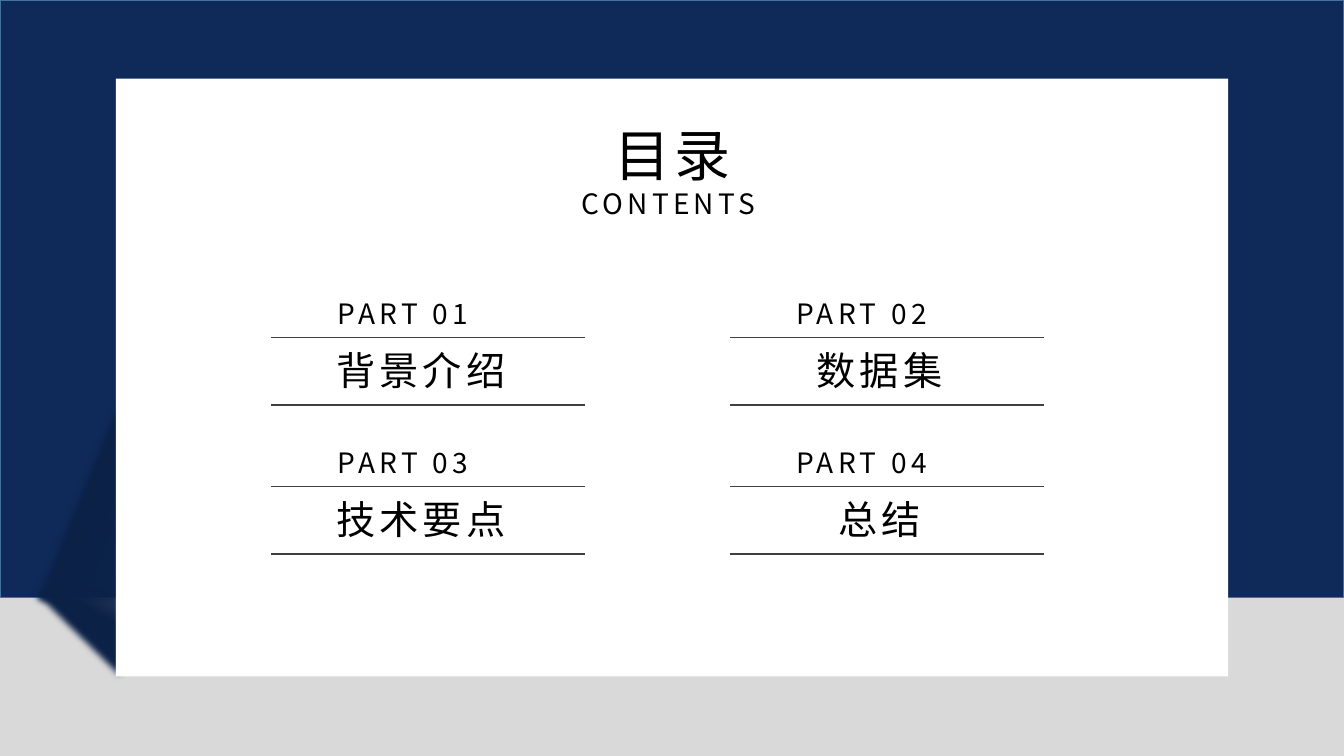
from lxml import etree
from pptx import Presentation
from pptx.dml.color import RGBColor
from pptx.enum.shapes import MSO_CONNECTOR, MSO_SHAPE
from pptx.enum.text import MSO_ANCHOR, MSO_AUTO_SIZE, PP_ALIGN
from pptx.oxml.ns import qn
from pptx.util import Inches, Pt

RECTANGLE = MSO_SHAPE.RECTANGLE
RIGHT_TRIANGLE = MSO_SHAPE.RIGHT_TRIANGLE
STRAIGHT = MSO_CONNECTOR.STRAIGHT
TOP = MSO_ANCHOR.TOP
FIT_SHAPE = MSO_AUTO_SIZE.SHAPE_TO_FIT_TEXT
LEFT, CENTER, JUSTIFY = PP_ALIGN.LEFT, PP_ALIGN.CENTER, PP_ALIGN.JUSTIFY

GREY = RGBColor(0xD9, 0xD9, 0xD9)
NAVY = RGBColor(0x0F, 0x2A, 0x59)
DARK_NAVY = RGBColor(0x0C, 0x22, 0x47)
BLUE = RGBColor(0x43, 0x73, 0x9E)
WHITE = RGBColor(0xFF, 0xFF, 0xFF)
BLACK = RGBColor(0, 0, 0)
CHARCOAL = RGBColor(0x40, 0x40, 0x40)

SANS = "Noto Sans CJK SC"
SERIF = "Times New Roman"
SLIDE_WIDTH, SLIDE_HEIGHT = Inches(13.33), Inches(7.5)

PARTS = ["背景介绍", "数据集", "技术要点", "总结"]
GRID_COLUMNS = 2
FIRST_LEFT, COLUMN_STEP = 20.2, 34.13
FIRST_TOP, ROW_STEP = 44.67, 19.7
RULE_WIDTH, RULE_GAP = 23.33, 8.93


def across(percent):
    return round(SLIDE_WIDTH * percent / 100)


def down(percent):
    return round(SLIDE_HEIGHT * percent / 100)


def box(left, top, width, height):
    return across(left), down(top), across(width), down(height)


def add_panel(shapes, kind, place, color=None, outline=None):
    panel = shapes.add_shape(kind, *box(*place))
    panel.shadow.inherit = False
    if color is not None:
        panel.fill.solid()
        panel.fill.fore_color.rgb = color
    if outline is None:
        panel.line.fill.background()
    else:
        panel.line.color.rgb = outline
        panel.line.width = Pt(1)
    return panel


def add_fold_shadow(shapes, place, rotation, angle, stops, opacity):
    fold = add_panel(shapes, RIGHT_TRIANGLE, place)
    fold.rotation = rotation
    fold.fill.gradient()
    fold.fill.gradient_angle = angle
    for stop, position in zip(fold.fill.gradient_stops, stops):
        stop.color.rgb = DARK_NAVY
        stop.position = position
    properties = fold.element.spPr
    first_color = next(properties.iter(qn("a:srgbClr")))
    etree.SubElement(first_color, qn("a:alpha"), val=str(opacity * 1000))
    effects = properties.find(qn("a:effectLst"))
    etree.SubElement(effects, qn("a:softEdge"), rad=str(Pt(5)))


def write_text(shape, text, size, font_name, alignment, wrap=True):
    frame = shape.text_frame
    frame.word_wrap = wrap
    frame.auto_size = FIT_SHAPE
    frame.vertical_anchor = TOP
    paragraph = frame.paragraphs[0]
    paragraph.alignment = alignment
    run = paragraph.add_run()
    run.text = text
    run.font.size = Pt(size)
    run.font.name = font_name
    run.font.color.rgb = BLACK
    properties = run.font._element
    properties.set("spc", "300")
    etree.SubElement(properties, qn("a:ea"), typeface=SANS)


def add_text(shapes, place, text, size, font_name, alignment):
    write_text(shapes.add_textbox(*box(*place)), text, size, font_name, alignment)


def add_rule(shapes, left, top):
    rule = shapes.add_connector(
        STRAIGHT, across(left), down(top), across(left + RULE_WIDTH), down(top))
    rule.line.color.rgb = CHARCOAL
    rule.line.width = Pt(1)
    etree.SubElement(rule.element.spPr, qn("a:effectLst"))


def add_part(slide, index, name):
    row, column = divmod(index, GRID_COLUMNS)
    left = FIRST_LEFT + column * COLUMN_STEP
    top = FIRST_TOP + row * ROW_STEP
    shapes = slide.shapes.add_group_shape().shapes
    add_text(shapes, (left - 1.09, top + 0.53, 24.38, 7.6), name, 28, SERIF, CENTER)
    add_rule(shapes, left, top)
    add_rule(shapes, left, top + RULE_GAP)
    add_text(shapes, (left + 4.2, top - 6.13, 14.93, 5.87),
             f"PART {index + 1:02}", 20, SANS, JUSTIFY)


def add_backdrop(slide):
    slide.background.fill.solid()
    slide.background.fill.fore_color.rgb = GREY
    shapes = slide.shapes
    add_panel(shapes, RECTANGLE, (0, 0, 100, 79.07), NAVY, BLUE)
    add_fold_shadow(shapes, (-3.45, 57.47, 18.15, 13.33), 270, 70, (0.07, 0.39), 70)
    add_fold_shadow(shapes, (1.13, 77.6, 8.25, 14.4), 180, 60, (0, 0.25), 80)
    add_panel(shapes, RECTANGLE, (8.63, 10.4, 82.75, 79.07), WHITE)


def add_heading(slide):
    add_text(slide.shapes, (42.53, 24, 14.93, 5.87), "CONTENTS", 20, SANS, JUSTIFY)
    title = slide.shapes.title
    title.left, title.top, title.width, title.height = box(44.94, 15.33, 10.58, 10.27)
    write_text(title, "目录", 40, SANS, LEFT, wrap=False)
    slide.shapes.element.append(title.element)


def main():
    presentation = Presentation()
    presentation.slide_width = SLIDE_WIDTH
    presentation.slide_height = SLIDE_HEIGHT
    slide = presentation.slides.add_slide(presentation.slide_layouts[5])
    add_backdrop(slide)
    add_heading(slide)
    for index, name in enumerate(PARTS):
        add_part(slide, index, name)
    presentation.save("out.pptx")


main()
